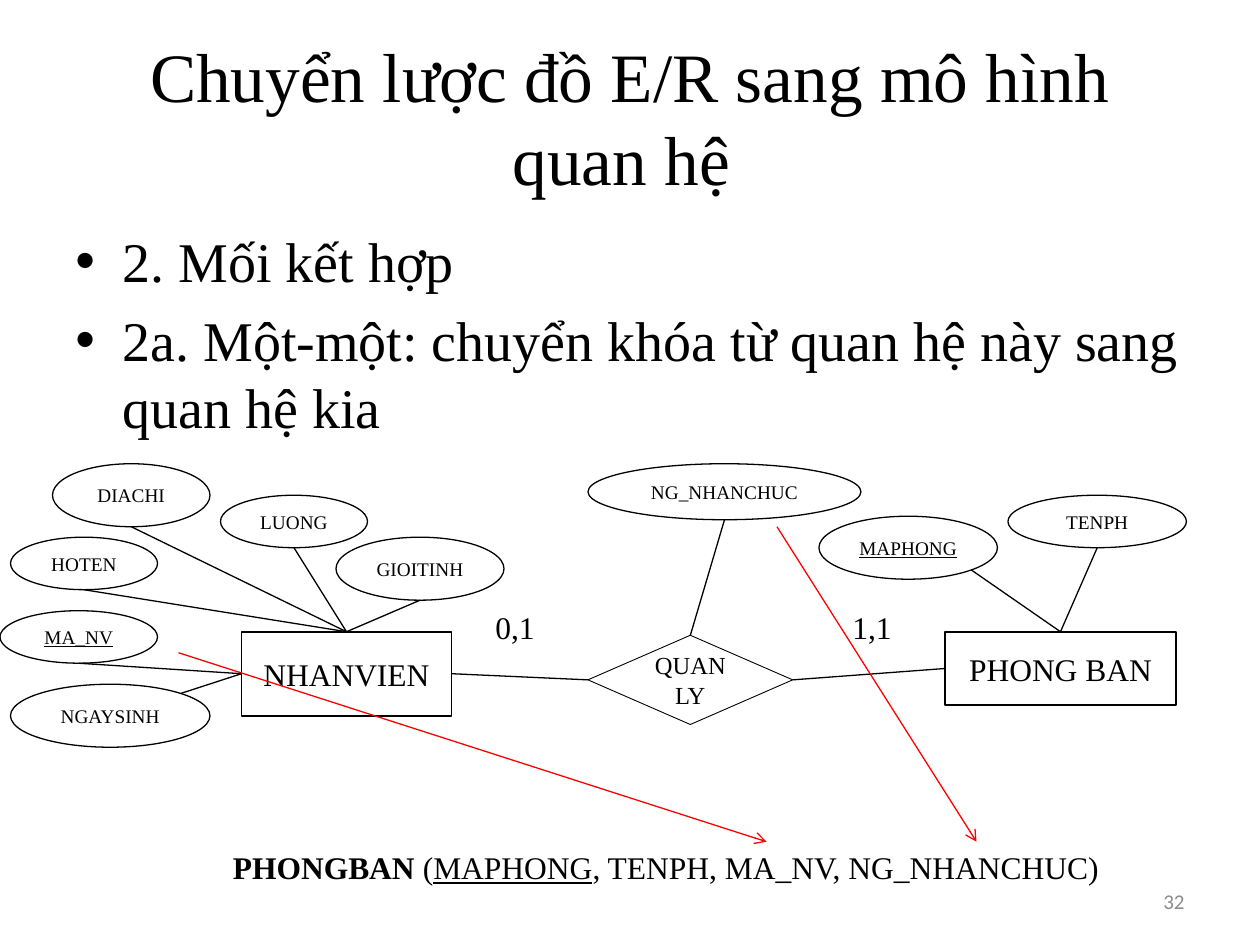
from math import cos, radians, sin

from lxml.etree import SubElement
from pptx import Presentation
from pptx.dml.color import RGBColor
from pptx.enum.shapes import MSO_CONNECTOR, MSO_SHAPE
from pptx.enum.text import MSO_ANCHOR, PP_ALIGN
from pptx.oxml.ns import qn
from pptx.util import Pt

COLORS = {"ink": "000000", "key": "FF0000", "page": "8C8C8C"}
SERIF = "Times New Roman"
TOP, LEFT, RIGHT = 0, 1, 3

# name: left, top, width, height, angle where its line starts, owner, side, is key
FIELDS = {
    "MAPHONG": (468, 295, 102, 36, 45, "PHONG BAN", TOP, True),
    "TENPH": (576, 283, 102, 30, 90, "PHONG BAN", TOP, False),
    "MA_NV": (0, 349, 90, 30, 90, "NHANVIEN", LEFT, True),
    "HOTEN": (6, 307, 84, 30, 90, "NHANVIEN", TOP, False),
    "DIACHI": (30, 265, 90, 36, 90, "NHANVIEN", TOP, False),
    "LUONG": (126, 283, 84, 30, 90, "NHANVIEN", TOP, False),
    "GIOITINH": (192, 307, 96, 36, 90, "NHANVIEN", TOP, False),
    "NGAYSINH": (6, 391, 114, 36, -45, "NHANVIEN", LEFT, False),
    "NG_NHANCHUC": (336, 265, 156, 32, 90, "QUANLY", TOP, False),
}


def color(name):
    return RGBColor.from_string(COLORS[name])


def style(item, size, tone="ink", **extra):
    """Set the font of a run."""
    values = {"size": Pt(size), "name": SERIF, **extra}
    for key, value in values.items():
        setattr(item.font, key, value)
    item.font.color.rgb = color(tone)


def add_run(para, text, size, **extra):
    run = para.add_run()
    run.text = text
    style(run, size, **extra)


def add_text(slide, box, text, size, align=PP_ALIGN.LEFT,
             anchor=MSO_ANCHOR.TOP, wrap=True, **extra):
    """Add a text box and return its frame."""
    frame = slide.shapes.add_textbox(*map(Pt, box)).text_frame
    frame.word_wrap = wrap
    frame.vertical_anchor = anchor
    para = frame.paragraphs[0]
    para.alignment = align
    if text:
        add_run(para, text, size, **extra)
    return frame


def add_list(slide, box, lines, size):
    frame = add_text(slide, box, "", size)
    for num, line in enumerate(lines):
        para = frame.add_paragraph() if num else frame.paragraphs[0]
        props = para._p.get_or_add_pPr()
        props.set("marL", str(Pt(27)))
        props.set("indent", str(-Pt(27)))
        if num:
            para.space_before = Pt(6.4)
        SubElement(props, qn("a:buFont"), typeface="Arial")
        SubElement(props, qn("a:buChar"), char="•")
        add_run(para, line, size)


def add_node(slide, kind, box, text, size, width=0.75, **extra):
    node = slide.shapes.add_shape(kind, *map(Pt, box))
    node.shadow.inherit = False
    node.fill.background()
    node.line.color.rgb = color("ink")
    node.line.width = Pt(width)
    frame = node.text_frame
    frame.word_wrap = True
    frame.vertical_anchor = MSO_ANCHOR.MIDDLE
    para = frame.paragraphs[0]
    para.alignment = PP_ALIGN.CENTER
    add_run(para, text, size, **extra)
    return node


def add_line(slide, start=(0, 0), end=(0, 0), tone="ink"):
    line = slide.shapes.add_connector(
        MSO_CONNECTOR.STRAIGHT, *map(Pt, (*start, *end)))
    line.line.color.rgb = color(tone)
    line.line.width = Pt(0.75)
    SubElement(line._element.spPr, qn("a:effectLst"))
    return line


def add_arrow(slide, start, end):
    line = add_line(slide, start, end, "key")
    SubElement(line.line._get_or_add_ln(), qn("a:tailEnd"), type="arrow")


def add_field(slide, name, nodes):
    """Add an attribute ellipse and the line to its owner."""
    x, y, w, h, angle, owner, side, is_key = FIELDS[name]
    add_node(slide, MSO_SHAPE.OVAL, (x, y, w, h), name, 11, underline=is_key)
    turn = radians(angle)
    start = (x + w / 2 * (1 + cos(turn)), y + h / 2 * (1 + sin(turn)))
    add_line(slide, start, start).end_connect(nodes[owner], side)


def add_link(slide, first, second):
    line = add_line(slide)
    line.begin_connect(first, RIGHT)
    line.end_connect(second, LEFT)


def main():
    deck = Presentation()
    deck.slide_width, deck.slide_height = Pt(720), Pt(540)
    slide = deck.slides.add_slide(deck.slide_layouts[6])

    add_text(slide, (36, 21.6, 648, 90), "Chuyển lược đồ E/R sang mô hình quan hệ ",
             39.6, PP_ALIGN.CENTER, MSO_ANCHOR.MIDDLE)
    add_list(slide, (36, 126, 648, 356.4), (
        "2. Mối kết hợp",
        "2a. Một-một: chuyển khóa từ quan hệ này sang quan hệ kia"), 32)

    rect = MSO_SHAPE.RECTANGLE
    staff = add_node(slide, rect, (138, 361, 120, 48), "NHANVIEN", 18, 1)
    dept = add_node(slide, rect, (540, 361, 132, 42), "PHONG BAN", 18, 1)
    link = add_node(slide, MSO_SHAPE.DIAMOND, (336, 363, 117, 51), "QUANLY", 14, 0.5)
    nodes = {"NHANVIEN": staff, "PHONG BAN": dept, "QUANLY": link}
    for name in FIELDS:
        add_field(slide, name, nodes)
    add_link(slide, staff, link)
    add_link(slide, link, dept)
    add_text(slide, (276, 344, 42, 29), "0,1", 18)
    add_text(slide, (480, 344, 37.5, 29), "1,1", 18, wrap=False)

    frame = add_text(slide, (126, 481, 514, 29), "PHONGBAN", 18, wrap=False, bold=True)
    para = frame.paragraphs[0]
    add_run(para, " (", 18)
    add_run(para, "MAPHONG", 18, underline=True)
    add_run(para, ", TENPH, MA_NV, NG_NHANCHUC)", 18)
    add_arrow(slide, (102, 373), (438, 481))
    add_arrow(slide, (444, 301), (558, 481))
    add_text(slide, (516, 500.5, 168, 28.75), "32", 12, PP_ALIGN.RIGHT,
             MSO_ANCHOR.MIDDLE, tone="page", name="Calibri")
    deck.save("out.pptx")


if __name__ == "__main__":
    main()
